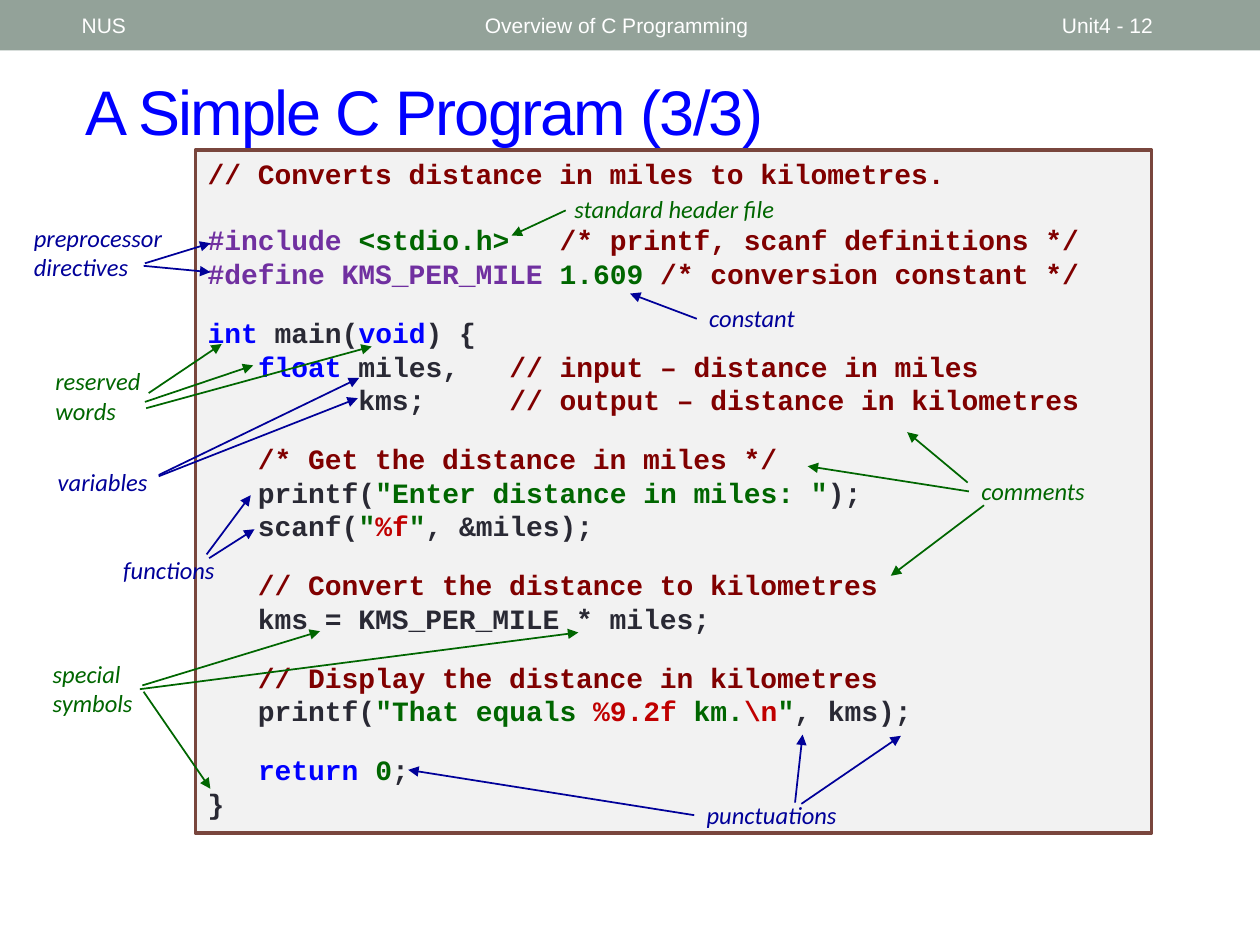
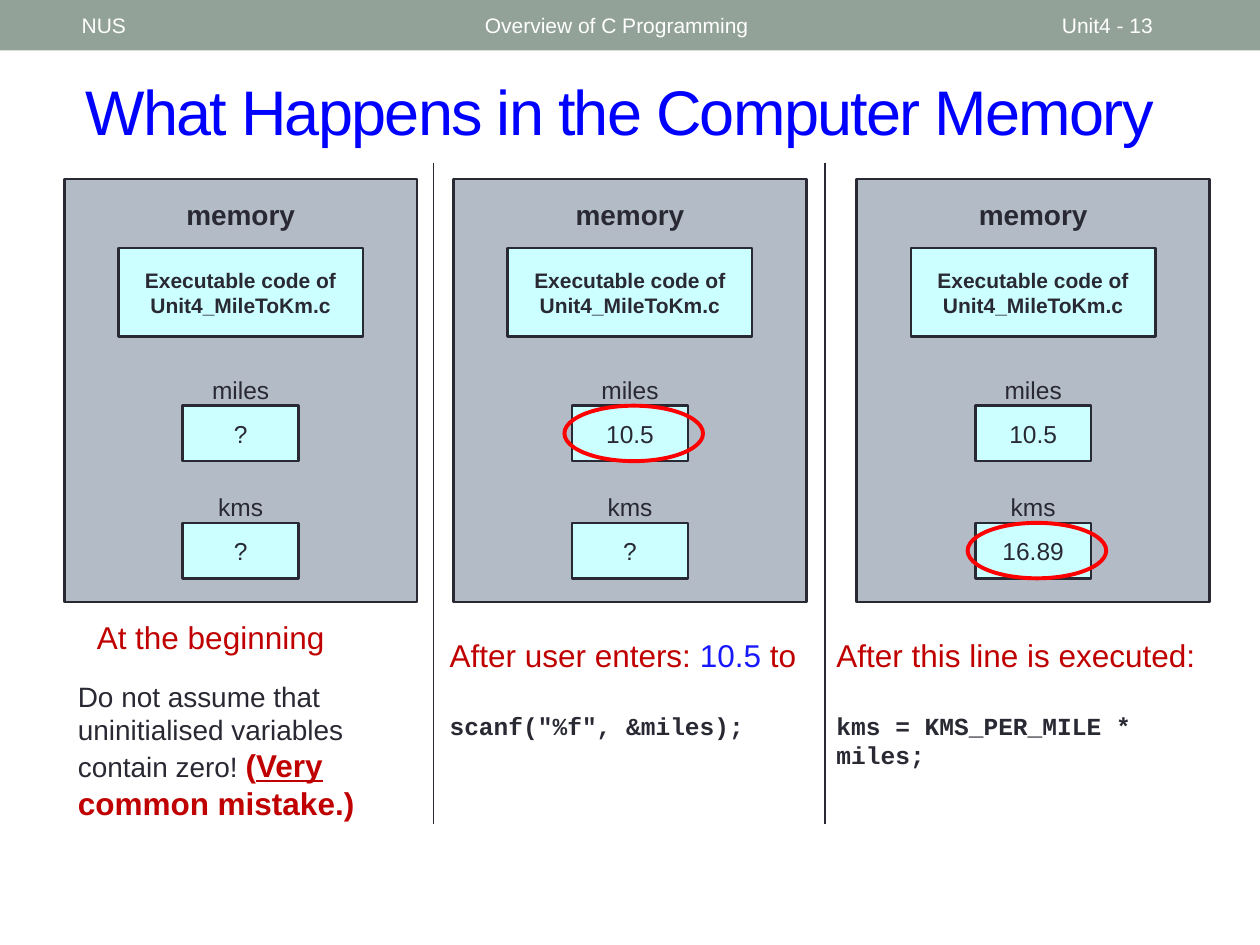
from dataclasses import dataclass
from lxml import etree
from pptx import Presentation
from pptx.dml.color import RGBColor
from pptx.enum.shapes import MSO_CONNECTOR, MSO_SHAPE
from pptx.enum.text import MSO_ANCHOR, PP_ALIGN
from pptx.oxml.ns import qn
from pptx.util import Inches, Pt

RECTANGLE = MSO_SHAPE.RECTANGLE
OVAL = MSO_SHAPE.OVAL
STRAIGHT = MSO_CONNECTOR.STRAIGHT
TOP = MSO_ANCHOR.TOP
MIDDLE = MSO_ANCHOR.MIDDLE
LEFT = PP_ALIGN.LEFT
CENTER = PP_ALIGN.CENTER
LEFT_SIDE = 1


@dataclass(frozen=True)
class Theme:
    sans: str = "Arial"
    label: str = "Calibri"
    mono: str = "Courier New"
    band: str = "93A299"
    white: str = "FFFFFF"
    ink: str = "292934"
    title: str = "0000FF"
    code_fill: str = "F2F2F2"
    code_border: str = "79463D"
    comment: str = "800000"
    directive: str = "7030A0"
    keyword: str = "0000FF"
    literal: str = "006600"
    alert: str = "C00000"
    blue: str = "000099"
    green: str = "006600"
    entry: str = "1818FF"
    panel: str = "B3BBC6"
    cell: str = "CCFFFF"
    ring: str = "FF0000"
    title_size: int = 36
    heading_size: int = 18
    body_size: int = 16
    small_size: int = 14
    band_size: int = 12


THEME = Theme()


class SlideBuilder:
    def __init__(self, deck, theme):
        self.deck = deck
        self.theme = theme
        self.page = None

    def new_page(self, title, number):
        theme = self.theme
        self.page = self.deck.slides.add_slide(self.deck.slide_layouts[6])
        self.shape(RECTANGLE, (0, 0, 10, 0.4), fill=theme.band)
        heading = self.text((0.58, 0.5, 8.92, 0.75), [title], size=theme.title_size,
                            color=theme.title, anchor=MIDDLE)
        for span in heading.text_frame.paragraphs[0].runs:
            span.font._element.set("spc", "-100")
        for left, width, words in ((0.55, 3.12, "NUS"),
                                   (3.75, 4.5, "Overview of C Programming"),
                                   (8.33, 1.17, f"Unit4 - {number}")):
            self.text((left, 0.02, width, 0.36), [words], size=theme.band_size,
                      color=theme.white, anchor=MIDDLE)

    def fill_text(self, box, lines, size=14, font=None, color=None, bold=False,
                  italic=False, align=LEFT, anchor=TOP):
        frame = box.text_frame
        frame.word_wrap = True
        frame.vertical_anchor = anchor
        for index, line in enumerate(lines):
            para = frame.add_paragraph() if index else frame.paragraphs[0]
            para.alignment = align
            for part in [line] if isinstance(line, str) else line:
                words, changes = (part, {}) if isinstance(part, str) else part
                span = para.add_run()
                span.text = words
                span.font.name = changes.get("font", font or self.theme.sans)
                span.font.size = Pt(changes.get("size", size))
                span.font.bold = changes.get("bold", bold)
                span.font.italic = italic
                span.font.underline = changes.get("underline", False)
                span.font.color.rgb = RGBColor.from_string(
                    changes.get("color", color or self.theme.ink))
        return box

    def text(self, area, lines, **style):
        box = self.page.shapes.add_textbox(*map(Inches, area))
        return self.fill_text(box, lines, **style)

    def shape(self, kind, area, fill=None, line=None, weight=1.5):
        shape = self.page.shapes.add_shape(kind, *map(Inches, area))
        shape.shadow.inherit = False
        if fill:
            shape.fill.solid()
            shape.fill.fore_color.rgb = RGBColor.from_string(fill)
        else:
            shape.fill.background()
        if line:
            shape.line.color.rgb = RGBColor.from_string(line)
            shape.line.width = Pt(weight)
        else:
            shape.line.fill.background()
        return shape

    def line(self, start, end, color, arrow=False):
        line = self.page.shapes.add_connector(STRAIGHT, *map(Inches, (*start, *end)))
        line.line.color.rgb = RGBColor.from_string(color)
        line.line.width = Pt(1)
        properties = line._element.spPr
        if arrow:
            outline = properties.find(qn("a:ln"))
            etree.SubElement(outline, qn("a:tailEnd"), type="triangle")
        etree.SubElement(properties, qn("a:effectLst"))
        return line

    def callout(self, words, area, color, arrows):
        box = self.text(area, [words], size=self.theme.small_size,
                        font=self.theme.label, color=color, italic=True)
        left, top, _, height = area
        for start, end in arrows:
            arrow = self.line(start, end, color, arrow=True)
            if max(abs(start[0] - left), abs(start[1] - top - height / 2)) < 0.01:
                arrow.begin_connect(box, LEFT_SIDE)

    def listing(self, area, stanzas, gaps):
        theme = self.theme
        box = self.shape(RECTANGLE, area, theme.code_fill, theme.code_border, 2)
        lines = [line for stanza in stanzas for line in stanza]
        self.fill_text(box, lines, size=theme.body_size, font=theme.mono, bold=True)
        first = 0
        for stanza, gap in zip(stanzas, gaps):
            first += len(stanza)
            box.text_frame.paragraphs[first].space_before = Pt(gap)

    def memory(self, left, values, ringed=None):
        theme = self.theme
        center = left + 1.4

        def centered(top, width, height):
            return center - width / 2, top, width, height

        self.shape(RECTANGLE, (left, 1.42, 2.8, 3.36), theme.panel, theme.ink)
        self.text(centered(1.52, 1.11, 0.37), ["memory"], size=theme.body_size,
                  bold=True, align=CENTER)
        program = self.shape(RECTANGLE, centered(1.97, 1.94, 0.7), theme.cell, theme.ink)
        self.fill_text(program, ["Executable code of Unit4_MileToKm.c"],
                       size=theme.band_size, bold=True, align=CENTER, anchor=MIDDLE)
        for name, top in (("miles", 3.22), ("kms", 4.15)):
            self.text(centered(top - 0.29, 0.92, 0.34), [name],
                      size=theme.small_size, align=CENTER)
            cell = self.shape(RECTANGLE, centered(top, 0.92, 0.44), theme.cell, theme.ink)
            self.fill_text(cell, [values[name]], size=theme.small_size,
                           align=CENTER, anchor=MIDDLE)
            if name == ringed:
                self.shape(OVAL, (center - 0.52, top, 1.1, 0.44),
                           line=theme.ring, weight=2.25)

    def caption(self, area, heading, code):
        theme = self.theme
        statement = [(code, {"font": theme.mono, "size": theme.small_size,
                             "color": theme.ink, "bold": True})]
        box = self.text(area, [heading, statement], size=theme.heading_size,
                        color=theme.alert)
        box.text_frame.paragraphs[1].space_before = Pt(21)


def comment(words):
    return words, {"color": THEME.comment}


def directive(words):
    return words, {"color": THEME.directive}


def keyword(words):
    return words, {"color": THEME.keyword}


def literal(words):
    return words, {"color": THEME.literal}


def placeholder(words):
    return words, {"color": THEME.alert}


PROGRAM = [
    [[comment("// Converts distance in miles to kilometres.")]],
    [[directive("#include "), literal("<stdio.h>   "),
      comment("/* printf, scanf definitions */")],
     [directive("#define KMS_PER_MILE "), literal("1.609 "),
      comment("/* conversion constant */")]],
    [[keyword("int"), " main(", keyword("void"), ") {"],
     ["   ", keyword("float"), " miles,   ", comment("// input – distance in miles")],
     ["         kms;     ", comment("// output – distance in kilometres")]],
    [[comment("   /* Get the distance in miles */")],
     ["   printf(", literal('"Enter distance in miles: "'), ");"],
     ["   scanf(", literal('"'), placeholder("%f"), literal('"'), ", &miles);"]],
    [[comment("   // Convert the distance to kilometres")],
     ["   kms = KMS_PER_MILE * miles;"]],
    [[comment("   // Display the distance in kilometres")],
     ["   printf(", literal('"That equals '), placeholder("%9.2f "), literal("km."),
      placeholder("\\n"), literal('"'), ", kms);"]],
    [["   ", keyword("return "), literal("0"), ";"], ["}"]],
]
STANZA_GAPS = [19] + [14.5] * 5

CALLOUTS = [
    ("preprocessor directives", (0.17, 1.72, 1.34, 0.57), THEME.blue,
     [((1.15, 2.09), (1.67, 1.93)), ((1.14, 2.11), (1.67, 2.16))]),
    ("standard header file", (4.46, 1.49, 1.91, 0.35), THEME.green,
     [((4.49, 1.67), (4.06, 1.87))]),
    ("comments", (7.69, 3.73, 1.08, 0.34), THEME.green,
     [((7.68, 3.83), (7.2, 3.43)), ((7.69, 3.9), (6.41, 3.7)),
      ((7.81, 4.01), (7.07, 4.57))]),
    ("constant", (5.53, 2.36, 1.08, 0.34), THEME.blue,
     [((5.53, 2.53), (5, 2.33))]),
    ("reserved words", (0.34, 2.86, 1.08, 0.57), THEME.green,
     [((1.18, 3.12), (1.76, 2.73)), ((1.16, 3.24), (2.95, 2.75)),
      ((1.15, 3.19), (2.01, 2.9))]),
    ("variables", (0.36, 3.66, 1.08, 0.34), THEME.blue,
     [((1.26, 3.77), (2.85, 3)), ((1.26, 3.78), (2.84, 3.16))]),
    ("functions", (0.88, 4.36, 1.03, 0.34), THEME.blue,
     [((1.64, 4.4), (1.99, 3.93)), ((1.66, 4.43), (2.02, 4.2))]),
    ("special symbols", (0.32, 5.18, 0.97, 0.57), THEME.green,
     [((1.13, 5.44), (2.54, 5.01)), ((1.11, 5.47), (4.59, 5.02)),
      ((1.14, 5.49), (1.67, 6.26))]),
    ("punctuations", (5.51, 6.3, 1.35, 0.34), THEME.blue,
     [((6.36, 6.38), (7.15, 5.84)), ((6.31, 6.37), (6.37, 5.83)),
      ((5.51, 6.47), (3.24, 6.11))]),
]


def build_program_slide(builder):
    builder.new_page("A Simple C Program (3/3)", 12)
    builder.listing((1.55, 1.19, 7.59, 5.42), PROGRAM, STANZA_GAPS)
    for callout in CALLOUTS:
        builder.callout(*callout)


def build_memory_slide(builder):
    theme = builder.theme
    builder.new_page("What Happens in the Computer Memory", 13)
    builder.memory(0.51, {"miles": "?", "kms": "?"})
    builder.memory(3.6, {"miles": "10.5", "kms": "?"}, ringed="miles")
    builder.memory(6.8, {"miles": "10.5", "kms": "16.89"}, ringed="kms")
    builder.text((0.67, 4.86, 2.2, 0.4), ["At the beginning"],
                 size=theme.heading_size, color=theme.alert)
    warning = {"size": theme.heading_size, "color": theme.alert, "bold": True}
    builder.text((0.52, 5.34, 2.56, 1.25), [[
        "Do not assume that uninitialised variables contain zero! ",
        ("(", warning),
        ("Very", {**warning, "underline": True}),
        (" common mistake.)", warning),
    ]], size=theme.body_size)
    builder.caption((3.47, 5, 3.14, 0.98),
                    ["After user enters: ", ("10.5 ", {"color": theme.entry}), "to"],
                    'scanf("%f", &miles);')
    builder.caption((6.54, 5, 3.35, 0.94), "After this line is executed:",
                    "kms = KMS_PER_MILE * miles;")
    for x in (3.44, 6.55):
        builder.line((x, 1.29), (x, 6.54), theme.ink)


def main():
    deck = Presentation()
    deck.slide_width = Inches(10)
    deck.slide_height = Inches(7.5)
    builder = SlideBuilder(deck, THEME)
    build_program_slide(builder)
    build_memory_slide(builder)
    deck.save("out.pptx")


if __name__ == "__main__":
    main()
